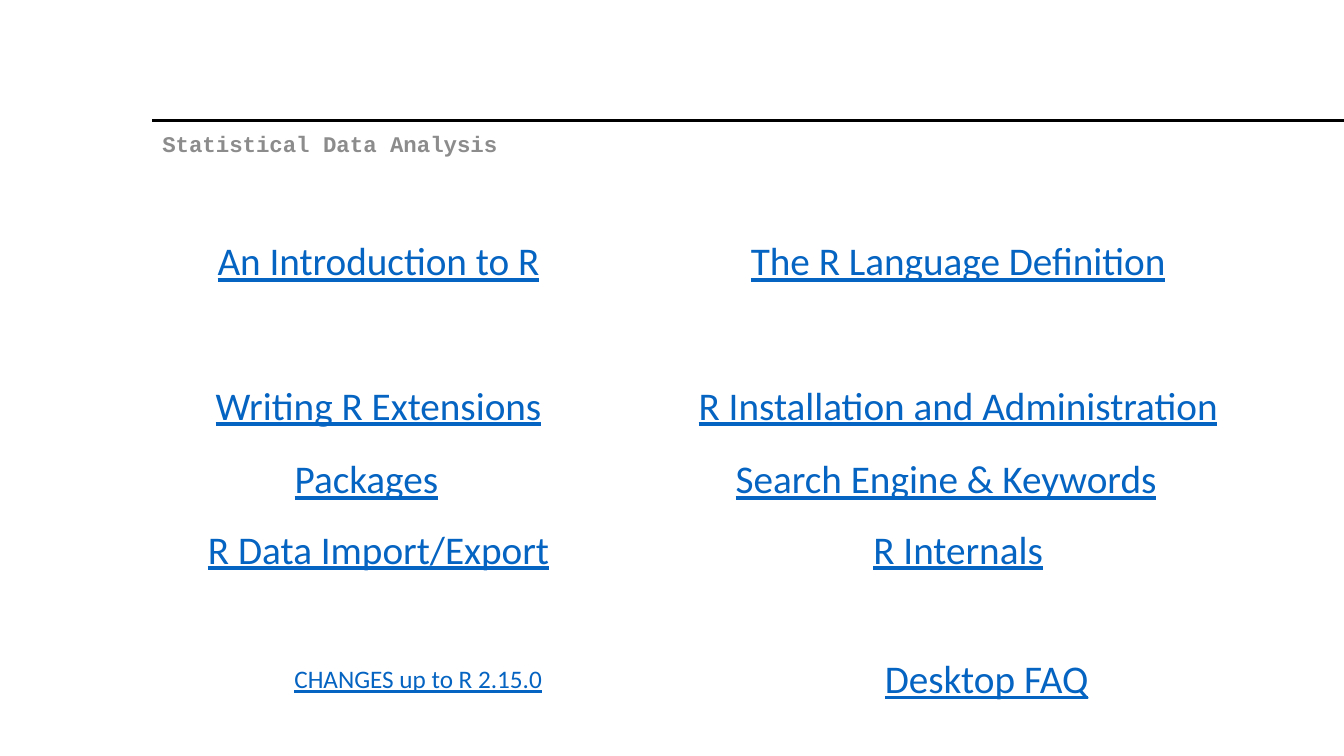
from pptx import Presentation
from pptx.dml.color import RGBColor
from pptx.enum.shapes import MSO_SHAPE
from pptx.enum.text import MSO_ANCHOR, MSO_AUTO_SIZE, PP_ALIGN
from pptx.util import Pt

# Content
HEAD = "Statistical Data Analysis"
GUIDES = [
    ["An Introduction to R", "The R Language Definition"],
    ["Writing R Extensions", "R Installation and Administration"],
    ["R Data Import/Export", "R Internals"],
]
TOOLS = [["Packages", "Search Engine & Keywords"]]
NEWS = [["CHANGES up to R 2.15.0", "Desktop FAQ", ""]]
SMALL = {"CHANGES up to R 2.15.0": 18}

# Left, top, column widths, row height, rows
TABLES = [
    (63.36, 136.08, [414, 414], 102.96, GUIDES),
    (54.72, 322.56, [414, 414], 41.04, TOOLS),
    (95.76, 465.12, [406, 406, 16.5], 41.04, NEWS),
]
COLORS = {"link": "0563C1", "head": "8C8C8C", "rule": "000000", "back": "FFFFFF"}
WIDE, HIGH = 960, 540
LEFT = 108.72


def color(name):
    return RGBColor.from_string(COLORS[name])


def add_run(para, text, size, font, name):
    run = para.add_run()
    run.text = text
    run.font.size = Pt(size)
    run.font.name = font
    run.font.color.rgb = color(name)
    return run


def add_links(slide, left, top, cols, high, rows):
    frame = slide.shapes.add_table(
        len(rows), len(cols), Pt(left), Pt(top), Pt(sum(cols)), Pt(high * len(rows)))
    table = frame.table
    table.first_row = table.horz_banding = False
    for col, width in zip(table.columns, cols):
        col.width = Pt(width)
    for r, row in enumerate(rows):
        table.rows[r].height = Pt(high)
        for c, text in enumerate(row):
            cell = table.cell(r, c)
            cell.fill.background()
            cell.vertical_anchor = MSO_ANCHOR.MIDDLE
            para = cell.text_frame.paragraphs[0]
            para.alignment = PP_ALIGN.CENTER
            if text:
                run = add_run(para, text, SMALL.get(text, 28), "Calibri", "link")
                run.font.underline = True


deck = Presentation()
deck.slide_width, deck.slide_height = Pt(WIDE), Pt(HIGH)
slide = deck.slides.add_slide(deck.slide_layouts[5])

# Heading
title = slide.shapes.title
title.left, title.top, title.width, title.height = Pt(LEFT), Pt(93), Pt(WIDE), Pt(36)
title.fill.solid()
title.fill.fore_color.rgb = color("back")
frame = title.text_frame
frame.word_wrap = True
frame.auto_size = MSO_AUTO_SIZE.NONE
frame.vertical_anchor = MSO_ANCHOR.TOP
frame.margin_top = frame.margin_bottom = 0
para = frame.paragraphs[0]
para.alignment = PP_ALIGN.LEFT
add_run(para, HEAD, 16, "Courier New", "head").font.bold = True

# Link tables
for spot in TABLES:
    add_links(slide, *spot)

# Rule above the heading
rule = slide.shapes.add_shape(
    MSO_SHAPE.RECTANGLE, Pt(LEFT), Pt(85.68), Pt(WIDE), Pt(1.44))
rule.shadow.inherit = False
rule.fill.solid()
rule.fill.fore_color.rgb = color("rule")
rule.line.color.rgb = color("rule")
rule.line.width = Pt(0.75)

deck.save("out.pptx")
